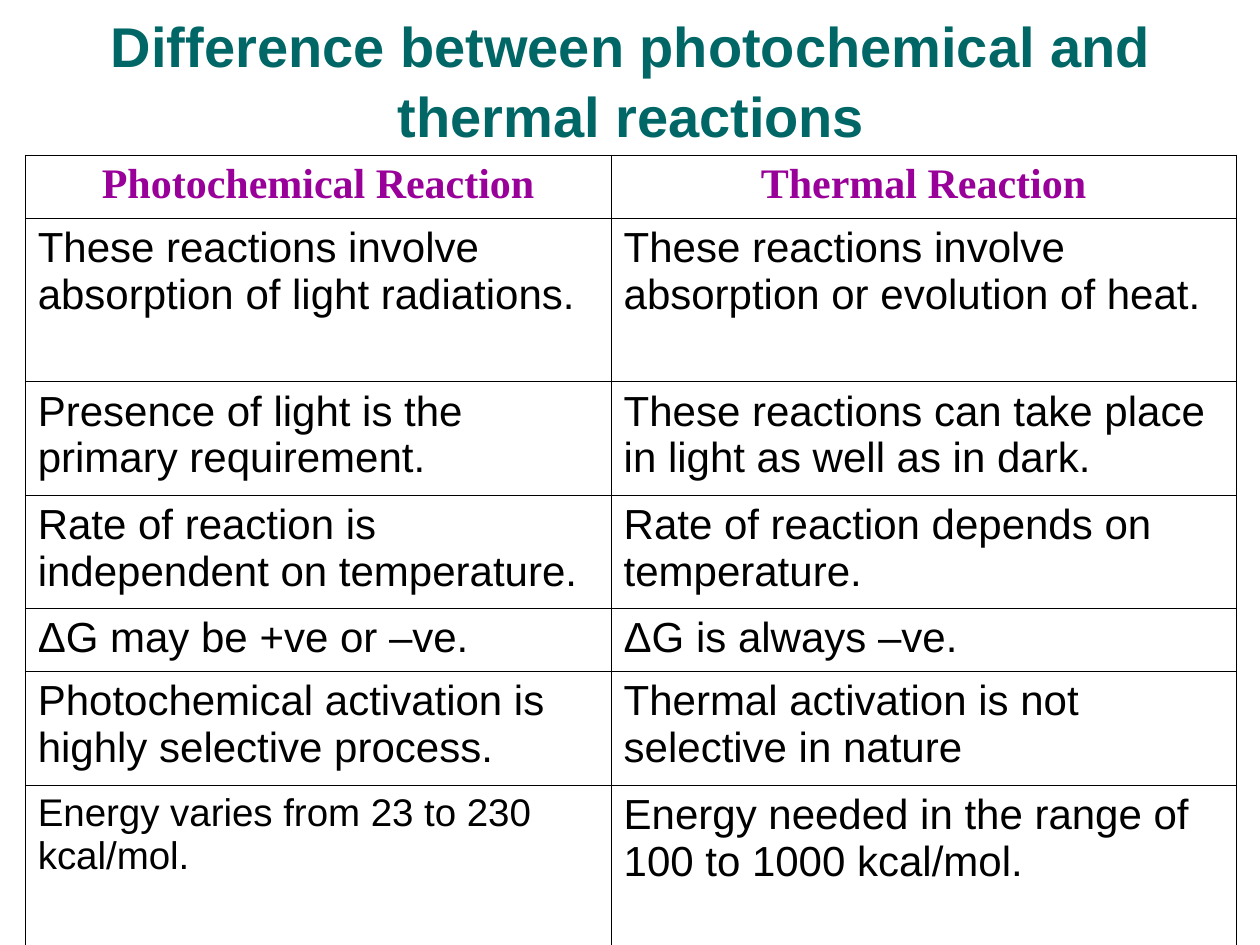
from dataclasses import dataclass

from lxml.etree import SubElement
from pptx import Presentation
from pptx.dml.color import RGBColor
from pptx.enum.text import MSO_ANCHOR, PP_ALIGN
from pptx.oxml.ns import qn
from pptx.util import Inches, Pt


@dataclass(frozen=True)
class TextStyle:
    font: str
    size: float
    color: str
    bold: bool = False
    align: PP_ALIGN = PP_ALIGN.LEFT


@dataclass(frozen=True)
class Theme:
    title: TextStyle = TextStyle("Arial", 32, "006666", True, PP_ALIGN.CENTER)
    header: TextStyle = TextStyle("Times New Roman", 24, "990099", True, PP_ALIGN.CENTER)
    body: TextStyle = TextStyle("Arial", 24, "000000")
    compact: TextStyle = TextStyle("Arial", 22, "000000")
    border_color: str = "000000"
    border_width: float = 0.45


TITLE = "Difference between photochemical and thermal reactions"
COLUMN_WIDTHS = (4.65, 4.96)
ROW_HEIGHTS = (0.5, 1.3, 0.9, 0.9, 0.5, 0.9, 1.3)
COMPARISON = (
    ("Photochemical Reaction", "Thermal Reaction"),
    ("These reactions involve absorption of light radiations.",
     "These reactions involve absorption or evolution of heat."),
    ("Presence of light is the primary requirement.",
     "These reactions can take place in light as well as in dark."),
    ("Rate of reaction is independent on temperature.",
     "Rate of reaction depends on temperature."),
    ("ΔG may be +ve or –ve.", "ΔG is always –ve."),
    ("Photochemical activation is highly selective process.",
     "Thermal activation is not selective in nature"),
    ("Energy varies from 23 to 230 kcal/mol.",
     "Energy needed in the range of 100 to 1000 kcal/mol."),
)
COMPACT_CELLS = {(6, 0)}


class SlideBuilder:
    def __init__(self, slide, theme):
        self.slide = slide
        self.theme = theme

    def set_text(self, text_frame, text, style):
        text_frame.text = text
        paragraph = text_frame.paragraphs[0]
        paragraph.alignment = style.align
        for run in paragraph.runs:
            run.font.name = style.font
            run.font.size = Pt(style.size)
            run.font.bold = style.bold
            run.font.color.rgb = RGBColor.from_string(style.color)

    def add_title(self, text, left, top, width, height):
        title = self.slide.shapes.title
        title.left, title.top = Inches(left), Inches(top)
        title.width, title.height = Inches(width), Inches(height)
        title.text_frame.vertical_anchor = MSO_ANCHOR.MIDDLE
        self.set_text(title.text_frame, text, self.theme.title)
        title.text_frame.paragraphs[0].line_spacing = 1.04

    def add_table(self, rows, left, top, column_widths, row_heights, compact_cells):
        table = self.slide.shapes.add_table(
            len(rows), len(column_widths), Inches(left), Inches(top),
            Inches(sum(column_widths)), Inches(sum(row_heights))).table
        table.first_row = table.horz_banding = False
        for column, width in zip(table.columns, column_widths):
            column.width = Inches(width)
        for row, height in zip(table.rows, row_heights):
            row.height = Inches(height)
        for row_index, texts in enumerate(rows):
            for column_index, text in enumerate(texts):
                if row_index == 0:
                    style = self.theme.header
                elif (row_index, column_index) in compact_cells:
                    style = self.theme.compact
                else:
                    style = self.theme.body
                cell = table.cell(row_index, column_index)
                self.set_text(cell.text_frame, text, style)
                self.add_borders(cell)
                cell.fill.background()

    def add_borders(self, cell):
        properties = cell._tc.get_or_add_tcPr()
        for side in ("a:lnL", "a:lnR", "a:lnT", "a:lnB"):
            line = SubElement(properties, qn(side), w=str(Pt(self.theme.border_width)))
            fill = SubElement(line, qn("a:solidFill"))
            SubElement(fill, qn("a:srgbClr"), val=self.theme.border_color)


def main():
    presentation = Presentation()
    presentation.slide_width, presentation.slide_height = Inches(10), Inches(7.5)
    title_only = presentation.slide_layouts.get_by_name("Title Only")
    builder = SlideBuilder(presentation.slides.add_slide(title_only), Theme())
    builder.add_title(TITLE, 0.51, 0, 9, 1.25)
    builder.add_table(COMPARISON, 0.2, 1.23, COLUMN_WIDTHS, ROW_HEIGHTS, COMPACT_CELLS)
    presentation.save("out.pptx")


if __name__ == "__main__":
    main()
